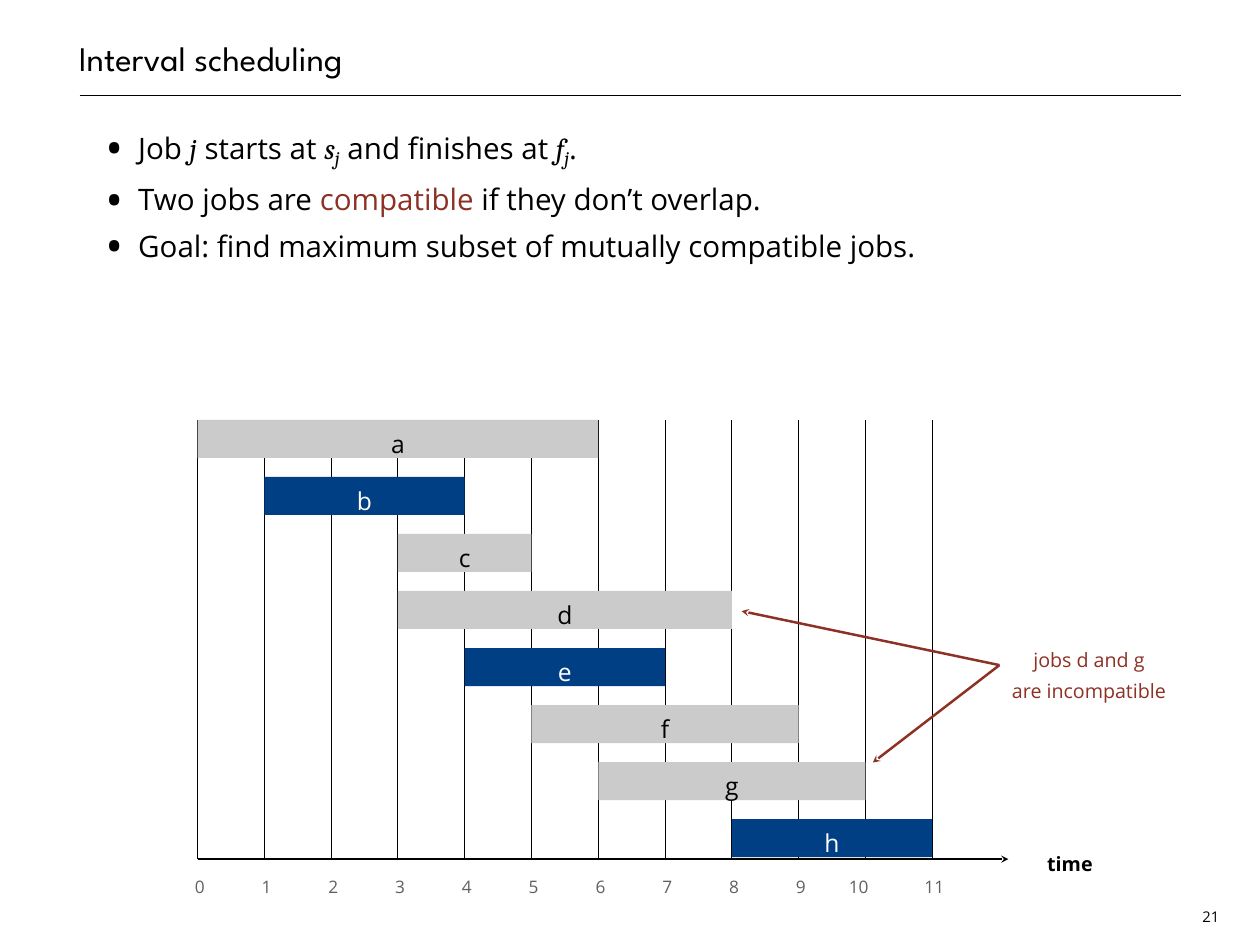
from lxml import etree
from pptx import Presentation
from pptx.enum import shapes, text
from pptx.dml.color import RGBColor
from pptx.oxml import ns
from pptx.util import Inches, Pt

COLORS = {
    "black": "000000",
    "white": "FFFFFF",
    "tick": "606060",
    "accent": "8D3124",
    "job": "CBCBCB",
    "chosen": "003F83",
}
BODY_FONT = "Open Sans"
HOURS = 11
AXIS_LEFT, AXIS_Y, CHART_TOP = 2.23, 9.7, 4.74
HOUR_WIDTH = (10.52 - AXIS_LEFT) / HOURS
BAR_HEIGHT = 0.43
JOBS = [
    ("a", 0, 6, False),
    ("b", 1, 4, True),
    ("c", 3, 5, False),
    ("d", 3, 8, False),
    ("e", 4, 7, True),
    ("f", 5, 9, False),
    ("g", 6, 10, False),
    ("h", 8, 11, True),
]
ROW_PITCH = (9.25 - CHART_TOP) / (len(JOBS) - 1)
POINTS = [
    [("Job ", "plain"), ("j", "math"), (" starts at ", "plain"), ("s", "math"), ("j", "sub"),
     (" and finishes at ", "plain"), ("f", "math"), ("j", "sub"), (".", "plain")],
    [("Two jobs are ", "plain"), ("compatible ", "accent"), ("if they don’t overlap.", "plain")],
    [("Goal: find maximum subset of mutually compatible jobs.", "plain")],
]


def rgb(name):
    return RGBColor.from_string(COLORS[name])


def hour_x(hour):
    return AXIS_LEFT + hour * HOUR_WIDTH


def style_run(run, size, color="black", font=BODY_FONT, bold=False):
    run.font.size = Pt(size)
    run.font.name = font
    run.font.bold = bold
    run.font.color.rgb = rgb(color)


def set_frame(frame, inset=0, wrap=True, anchor=text.MSO_ANCHOR.TOP):
    frame.margin_left = frame.margin_right = Inches(inset)
    frame.margin_top = frame.margin_bottom = Inches(inset)
    frame.word_wrap = wrap
    frame.vertical_anchor = anchor


def add_label(slide, box, wording, size, color="black", font=BODY_FONT, bold=False,
              align=text.PP_ALIGN.CENTER, spacing=1.3, before=0, grow=True, **frame_options):
    frame = slide.shapes.add_textbox(*map(Inches, box)).text_frame
    set_frame(frame, **frame_options)
    if grow:
        frame.auto_size = text.MSO_AUTO_SIZE.SHAPE_TO_FIT_TEXT
    frame.text = wording
    for paragraph in frame.paragraphs:
        paragraph.alignment = align
        paragraph.line_spacing = spacing
        paragraph.space_before = Pt(before)
        for run in paragraph.runs:
            style_run(run, size, color, font, bold)


def add_bullet(paragraph):
    properties = paragraph._p.get_or_add_pPr()
    properties.set("marL", str(Inches(0.67)))
    properties.set("indent", str(Inches(-0.37)))
    etree.SubElement(properties, ns.qn("a:buSzPct"), val="160000")
    etree.SubElement(properties, ns.qn("a:buFont"), typeface=BODY_FONT)
    etree.SubElement(properties, ns.qn("a:buChar"), char="•")


def add_points(slide):
    frame = slide.shapes.add_textbox(*map(Inches, (0.89, 1.39, 12.44, 8.94))).text_frame
    set_frame(frame)
    for index, point in enumerate(POINTS):
        paragraph = frame.paragraphs[0] if index == 0 else frame.add_paragraph()
        paragraph.line_spacing = Pt(38)
        add_bullet(paragraph)
        for wording, kind in point:
            run = paragraph.add_run()
            run.text = wording
            is_math = kind in ("math", "sub")
            style_run(run, 28 if kind == "sub" else 24,
                      "accent" if kind == "accent" else "black",
                      "Cambria" if is_math else BODY_FONT)
            run.font.italic = is_math
            if kind == "sub":
                run.font._element.set("baseline", "-20000")


def add_line(slide, start, end, width, color="black", arrow=False):
    line = slide.shapes.add_connector(shapes.MSO_CONNECTOR.STRAIGHT, *map(Inches, start + end))
    line.line.color.rgb = rgb(color)
    line.line.width = Pt(width)
    if arrow:
        etree.SubElement(line.line._get_or_add_ln(), ns.qn("a:tailEnd"), type="stealth")
    etree.SubElement(line._element.spPr, ns.qn("a:effectLst"))


def add_job(slide, row, name, start, finish, chosen):
    box = (hour_x(start), CHART_TOP + row * ROW_PITCH, (finish - start) * HOUR_WIDTH, BAR_HEIGHT)
    bar = slide.shapes.add_shape(shapes.MSO_SHAPE.RECTANGLE, *map(Inches, box))
    bar.shadow.inherit = False
    bar.fill.solid()
    bar.fill.fore_color.rgb = rgb("chosen" if chosen else "job")
    bar.line.fill.background()
    set_frame(bar.text_frame, anchor=text.MSO_ANCHOR.MIDDLE)
    bar.text_frame.text = name
    paragraph = bar.text_frame.paragraphs[0]
    paragraph.alignment = text.PP_ALIGN.CENTER
    paragraph.line_spacing = 1.3
    style_run(paragraph.runs[0], 20, "white" if chosen else "black")


def add_time_axis(slide):
    add_line(slide, (AXIS_LEFT, AXIS_Y), (11.38, AXIS_Y), 1.5, arrow=True)
    add_label(slide, (11.47, 9.54, 1.21, 0.25), "time", 16, bold=True)
    for hour in range(HOURS + 1):
        x = hour_x(hour)
        nudge = 0.1 if hour == 10 else 0
        add_label(slide, (x - 0.31 - nudge, 9.83, 0.67, 0.19), str(hour), 14, "tick", before=10)
        add_line(slide, (x, AXIS_Y), (x, CHART_TOP), 0.75)


def add_conflict_note(slide):
    add_label(slide, (11.38, 7.24, 1.82, 0.49), "jobs d and g\nare incompatible", 16, "accent",
              wrap=False)
    for target in ((9.85, 8.61), (8.37, 6.9)):
        add_line(slide, (11.28, 7.51), target, 2, "accent", arrow=True)


def main():
    deck = Presentation()
    deck.slide_width, deck.slide_height = Inches(14.22), Inches(10.67)
    slide = deck.slides.add_slide(deck.slide_layouts[6])
    add_line(slide, (0.9, 1.08), (13.33, 1.08), 1)
    add_label(slide, (0.89, 0, 12.44, 0.89), "Interval scheduling", 28, font="League Spartan",
              align=text.PP_ALIGN.LEFT, spacing=Pt(38), grow=False,
              anchor=text.MSO_ANCHOR.BOTTOM)
    add_points(slide)
    add_label(slide, (13.51, 10.22, 0.31, 0.24), "21", 12, spacing=Pt(14), inset=0.04, wrap=False)
    add_time_axis(slide)
    for row, job in enumerate(JOBS):
        add_job(slide, row, *job)
    add_conflict_note(slide)
    deck.save("out.pptx")


if __name__ == "__main__":
    main()
